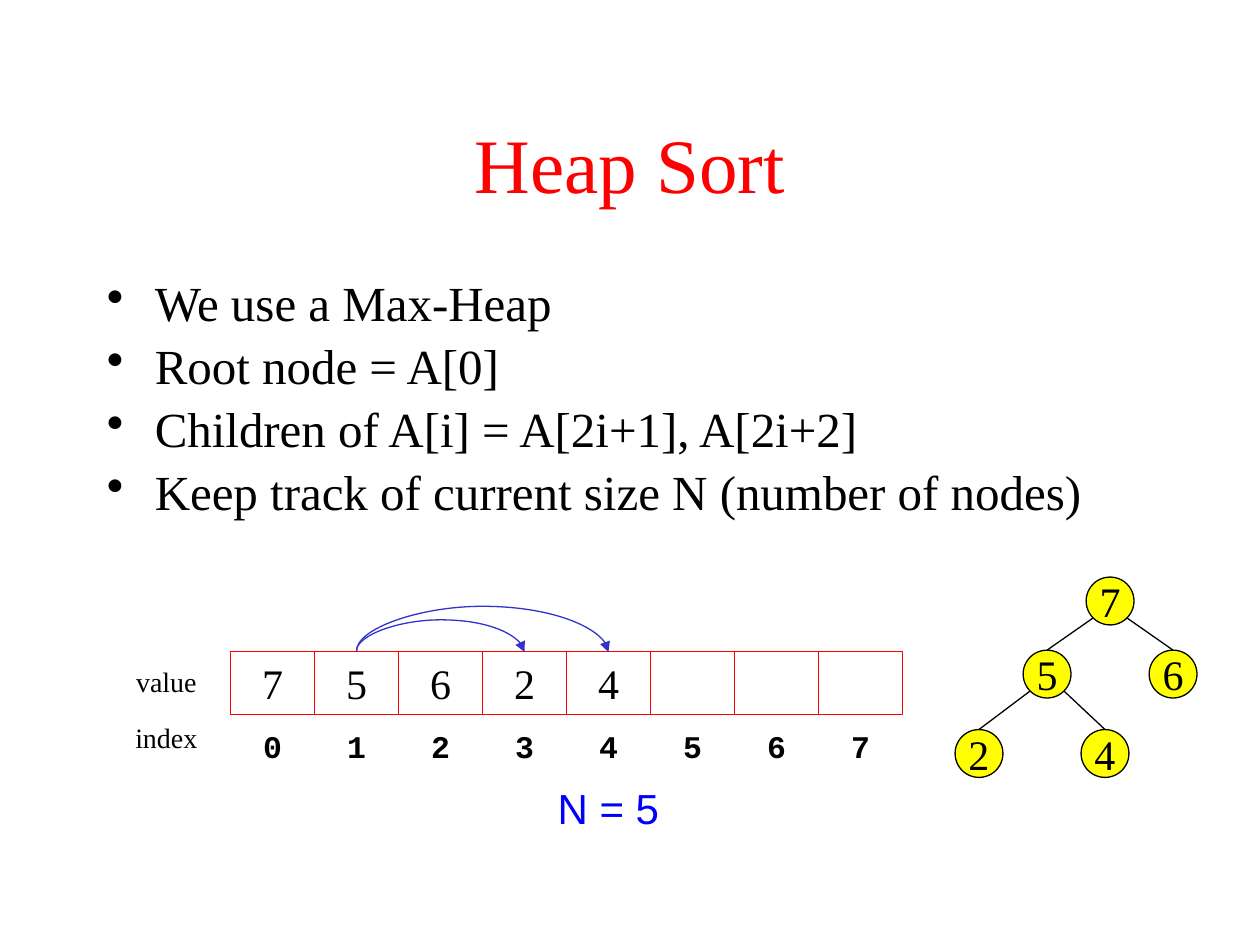
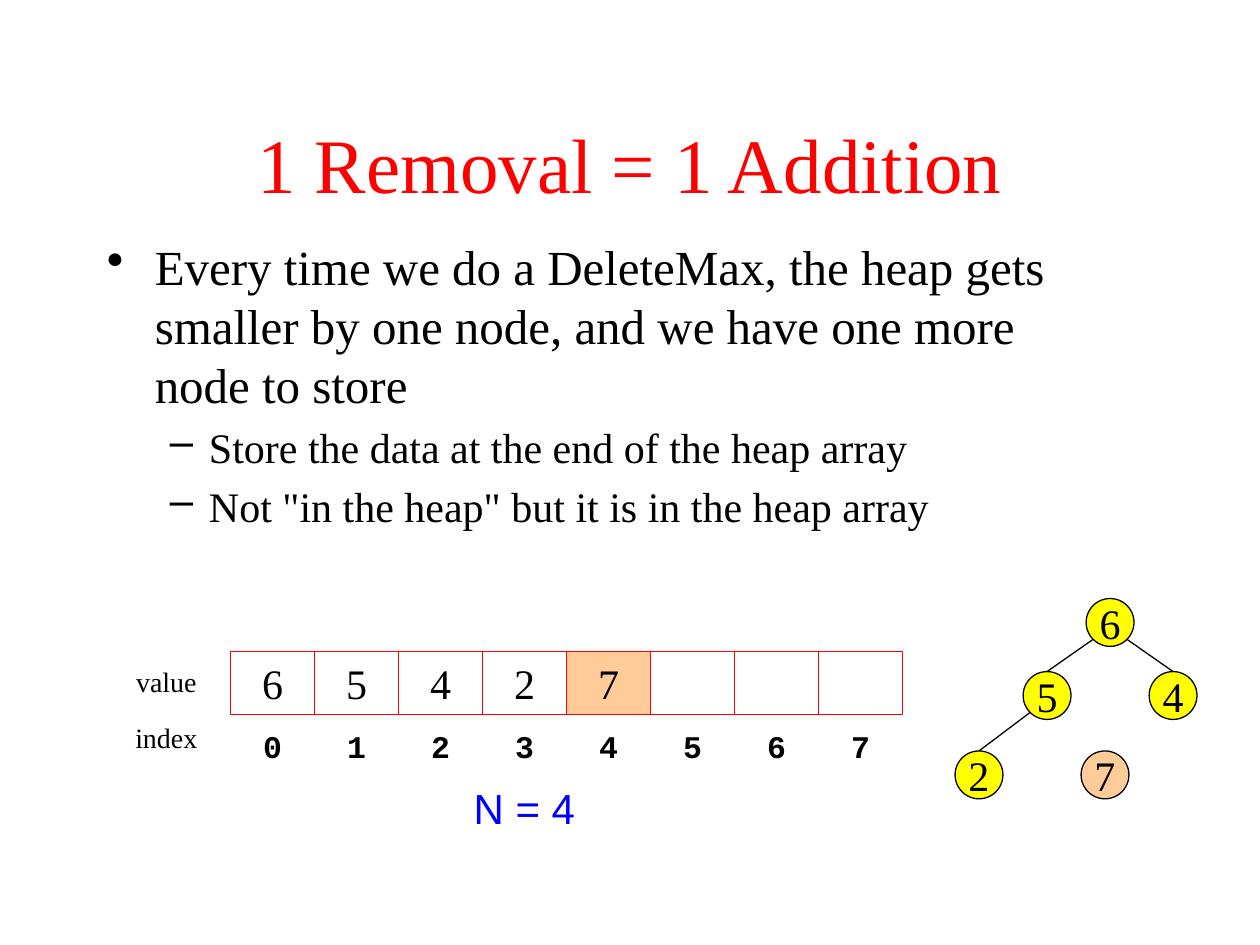
from math import sqrt

from lxml import etree
from pptx import Presentation
from pptx.dml.color import RGBColor
from pptx.enum.shapes import MSO_CONNECTOR, MSO_SHAPE
from pptx.enum.text import MSO_ANCHOR, MSO_AUTO_SIZE, PP_ALIGN
from pptx.oxml.ns import qn
from pptx.util import Inches, Pt

COLORS = {
    "title": "FF0000",
    "text": "000000",
    "size": "0000FF",
    "cell_line": "FF0000",
    "arrow": "3333CC",
    "node": "FFFF00",
    "removed": "FFCC99",
}
SERIF, SANS, MONO = "Times New Roman", "Arial", "Courier New"

# Bullet levels: character, text indent, hanging indent, font size
LEVELS = [("•", 0.38, 0.38, 28), ("–", 0.81, 0.31, 24)]

# Heap array: cell size and number of cells
CELL_WIDTH, CELL_HEIGHT, CELL_COUNT = 2 / 3, 0.5, 8

# Heap tree: node diameter and node offsets by array index
NODE_SIZE = 0.38
NODE_OFFSETS = [(1.04, 0), (0.54, 0.58), (1.54, 0.58), (0, 1.21), (1, 1.21)]


def color(name):
    return RGBColor.from_string(COLORS[name])


def write(paragraph, text, size=24, font=SERIF, fill="text", bold=False,
          align=PP_ALIGN.CENTER):
    paragraph.text = text
    paragraph.alignment = align
    paragraph.font.size = Pt(size)
    paragraph.font.name = font
    paragraph.font.bold = bold
    paragraph.font.color.rgb = color(fill)


def add_label(slide, box, text, anchor=MSO_ANCHOR.MIDDLE, **text_format):
    shape = slide.shapes.add_textbox(*map(Inches, box))
    shape.text_frame.word_wrap = False
    shape.text_frame.vertical_anchor = anchor
    write(shape.text_frame.paragraphs[0], text, **text_format)


def add_value_shape(slide, kind, box, text, fill=None, line="text"):
    shape = slide.shapes.add_shape(kind, *map(Inches, box))
    shape.shadow.inherit = False
    if fill:
        shape.fill.solid()
        shape.fill.fore_color.rgb = color(fill)
    else:
        shape.fill.background()
    shape.line.color.rgb = color(line)
    shape.line.width = Pt(0.75)
    if text:
        shape.text_frame.word_wrap = False
        shape.text_frame.vertical_anchor = MSO_ANCHOR.MIDDLE
        write(shape.text_frame.paragraphs[0], text)


def add_line(slide, start, end, kind=MSO_CONNECTOR.STRAIGHT, line="text"):
    connector = slide.shapes.add_connector(kind, *map(Inches, (*start, *end)))
    connector.line.color.rgb = color(line)
    connector.line.width = Pt(0.75)
    etree.SubElement(connector._element.spPr, qn("a:effectLst"))
    return connector


def add_arc_arrow(slide, left, right, base, rise):
    """Curved arrow between two points on one level, bulging upwards."""
    depth = 0.01
    center, half = (left + right) / 2, (right - left) / 2
    # An upright connector, turned by a quarter so that it lies on the base
    connector = add_line(slide, (center - depth / 2, base + half),
                         (center + depth / 2, base - half),
                         MSO_CONNECTOR.CURVE, "arrow")
    properties = connector._element.spPr
    properties.find(qn("a:xfrm")).set("rot", "5400000")
    adjustments = properties.find(qn("a:prstGeom")).find(qn("a:avLst"))
    etree.SubElement(adjustments, qn("a:gd"), name="adj1",
                     fmla=f"val {round(-rise / depth * 100000)}")
    etree.SubElement(properties.find(qn("a:ln")), qn("a:tailEnd"),
                     type="triangle")


def add_title(slide, text):
    title = slide.shapes.title
    title.left, title.top, title.width, title.height = map(
        Inches, (0.75, 0.67, 8.5, 1.25))
    title.text_frame.vertical_anchor = MSO_ANCHOR.MIDDLE
    title.text_frame.auto_size = MSO_AUTO_SIZE.NONE
    write(title.text_frame.paragraphs[0], text, size=44, fill="title")


def add_bullets(slide, box, items, line_spacing=1.0):
    frame = slide.shapes.add_textbox(*map(Inches, box)).text_frame
    frame.word_wrap = True
    for index, (level, text) in enumerate(items):
        paragraph = frame.add_paragraph() if index else frame.paragraphs[0]
        character, indent, hanging, size = LEVELS[level]
        properties = paragraph._p.get_or_add_pPr()
        properties.set("marL", str(Inches(indent)))
        properties.set("indent", str(-Inches(hanging)))
        etree.SubElement(properties, qn("a:buChar"), char=character)
        write(paragraph, text, size=size, align=PP_ALIGN.LEFT)
        paragraph.line_spacing = line_spacing
        paragraph.space_before = Pt(0.2 * size if index else 0)


def add_array(slide, left, top, values, heap_size, links=()):
    """Array cells with indexes, row labels, heap size and child links."""
    # Heap size below the last cell in the heap
    add_label(slide, (left + (heap_size - 1) * CELL_WIDTH - 0.17, top + 0.99,
                      1.01, 0.5), f"N = {heap_size}", anchor=MSO_ANCHOR.TOP,
              font=SANS, fill="size", align=PP_ALIGN.LEFT)

    # Row labels
    for text, offset in (("value", 0.05), ("index", 0.5)):
        add_label(slide, (left - 0.86, top + offset, 0.7, 0.37), text, size=16)

    # Cells and their indexes
    for index in range(CELL_COUNT):
        x = left + index * CELL_WIDTH
        text = values[index] if index < len(values) else ""
        removed = heap_size <= index < len(values)
        add_value_shape(slide, MSO_SHAPE.RECTANGLE,
                        (x, top, CELL_WIDTH, CELL_HEIGHT), text,
                        fill="removed" if removed else None, line="cell_line")
        add_label(slide, (x, top + CELL_HEIGHT, CELL_WIDTH, CELL_HEIGHT),
                  str(index), size=18, font=MONO, bold=True)

    # Arrows from a parent to its children
    for parent, child, rise in links:
        start, end = (left + (i + 0.5) * CELL_WIDTH for i in (parent, child))
        add_arc_arrow(slide, start, end, top, rise)


def add_tree(slide, left, top, values, heap_size):
    """Binary tree of the array; values outside the heap stay unlinked."""
    radius = NODE_SIZE / 2
    diagonal = radius / sqrt(2)
    for index, (value, (dx, dy)) in enumerate(zip(values, NODE_OFFSETS)):
        x, y = left + dx, top + dy
        in_heap = index < heap_size
        add_value_shape(slide, MSO_SHAPE.OVAL, (x, y, NODE_SIZE, NODE_SIZE),
                        value, fill="node" if in_heap else "removed")
        if index and in_heap:
            parent_x, parent_y = NODE_OFFSETS[(index - 1) // 2]
            side = -diagonal if index % 2 else diagonal
            add_line(slide, (left + parent_x + radius + side,
                             top + parent_y + radius + diagonal),
                     (x + radius, y))


def add_heap_slide(presentation, title, bullets, bullet_box, values, heap_size,
                   tree_top, line_spacing=1.0, links=()):
    slide = presentation.slides.add_slide(presentation.slide_layouts[5])
    add_title(slide, title)
    add_bullets(slide, bullet_box, bullets, line_spacing)
    add_array(slide, 1.83, 5.17, values, heap_size, links)
    add_tree(slide, 7.58, tree_top, values, heap_size)


def main():
    presentation = Presentation()
    presentation.slide_width = Inches(10)
    presentation.slide_height = Inches(7.5)

    add_heap_slide(
        presentation, "Heap Sort",
        [(0, "We use a Max-Heap"),
         (0, "Root node = A[0]"),
         (0, "Children of A[i] = A[2i+1], A[2i+2]"),
         (0, "Keep track of current size N (number of nodes)")],
        bullet_box=(0.75, 2.17, 8.25, 2.42), line_spacing=0.9,
        values="75624", heap_size=5, tree_top=4.58,
        links=[(1, 3, 0.25), (1, 4, 0.36)])

    add_heap_slide(
        presentation, "1 Removal = 1 Addition",
        [(0, "Every time we do a DeleteMax, the heap gets smaller by one "
             "node, and we have one more node to store"),
         (1, "Store the data at the end of the heap array"),
         (1, 'Not "in the heap" but it is in the heap array')],
        bullet_box=(0.75, 1.83, 8.25, 3),
        values="65427", heap_size=4, tree_top=4.75)

    presentation.save("out.pptx")


if __name__ == "__main__":
    main()
